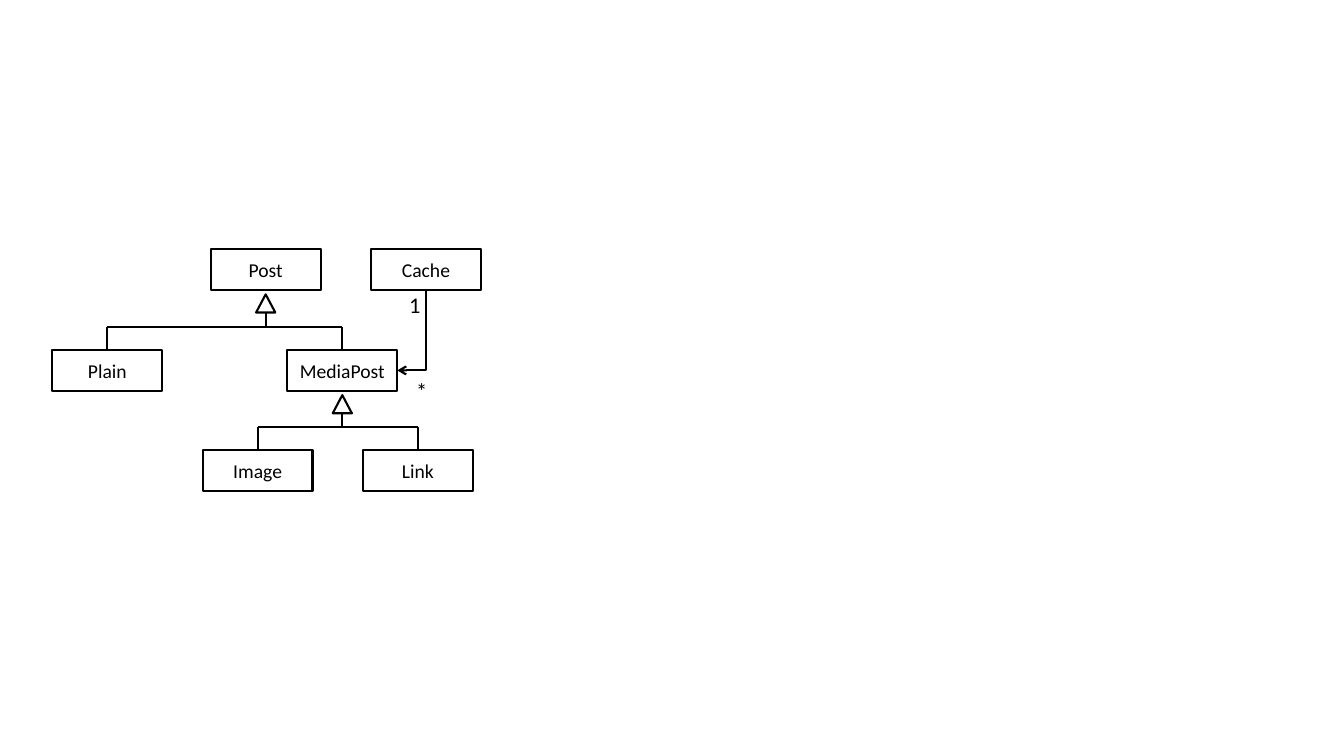
from lxml import etree
from pptx import Presentation
from pptx.dml.color import RGBColor
from pptx.enum.shapes import MSO_CONNECTOR, MSO_SHAPE
from pptx.enum.text import MSO_ANCHOR, PP_ALIGN
from pptx.oxml.ns import qn
from pptx.util import Inches, Pt

STRAIGHT, ELBOW = MSO_CONNECTOR.STRAIGHT, MSO_CONNECTOR.ELBOW
RECTANGLE, TRIANGLE = MSO_SHAPE.RECTANGLE, MSO_SHAPE.ISOSCELES_TRIANGLE
MIDDLE, CENTER = MSO_ANCHOR.MIDDLE, PP_ALIGN.CENTER
TOP_SIDE = 0

COLORS = {"ink": "000000", "paper": "FFFFFF"}
FONT = "Calibri"
CLASS_WIDTH, CLASS_HEIGHT = 1.09, 0.41
HEAD_WIDTH, HEAD_HEIGHT = 0.19, 0.18
HEAD_GAP = 0.04      # parent box to triangle
BUS_DROP = 0.36      # parent box to horizontal bar

CLASSES = {  # name: (left, top)
    "Post": (2.09, 2.47),
    "Cache": (3.68, 2.47),
    "Plain": (0.52, 3.47),
    "MediaPost": (2.85, 3.47),
    "Image": (2.01, 4.46),
    "Link": (3.6, 4.46),
}
INHERITANCE = {"Post": ("Plain", "MediaPost"), "MediaPost": ("Image", "Link")}
MULTIPLICITIES = [("1", 3.96, 2.84), ("*", 4.03, 3.69)]


def color(name):
    return RGBColor.from_string(COLORS[name])


def set_outline(item):
    item.line.color.rgb = color("ink")
    item.line.width = Pt(1.5)


def write(shape, text, size):
    para = shape.text_frame.paragraphs[0]
    para.text = text
    para.alignment = CENTER
    para.font.name = FONT
    para.font.size = Pt(size)
    para.font.color.rgb = color("ink")


def add_outlined(slide, kind, left, top, width, height):
    shape = slide.shapes.add_shape(
        kind, Inches(left), Inches(top), Inches(width), Inches(height))
    shape.shadow.inherit = False
    shape.fill.solid()
    shape.fill.fore_color.rgb = color("paper")
    set_outline(shape)
    return shape


def add_line(slide, start, end, kind=STRAIGHT):
    line = slide.shapes.add_connector(
        kind, *(Inches(value) for value in (*start, *end)))
    set_outline(line)
    etree.SubElement(line._element.spPr, qn("a:effectLst"))
    return line


def center_x(name):
    return CLASSES[name][0] + CLASS_WIDTH / 2


def add_inheritance(slide, boxes, parent, children):
    middle = center_x(parent)
    bottom = CLASSES[parent][1] + CLASS_HEIGHT
    bus = bottom + BUS_DROP
    add_line(slide, (middle, bus), (middle, bottom + HEAD_GAP + HEAD_HEIGHT))
    add_outlined(slide, TRIANGLE, middle - HEAD_WIDTH / 2, bottom + HEAD_GAP,
                 HEAD_WIDTH, HEAD_HEIGHT)
    add_line(slide, (center_x(children[0]), bus), (center_x(children[-1]), bus))
    for child in children:
        x = center_x(child)
        stub = add_line(slide, (x, CLASSES[child][1]), (x, bus))
        stub.begin_connect(boxes[child], TOP_SIDE)


def add_association(slide, source, target):
    """Arrow down from the source, then left into the target's right side."""
    start_x, start_y = center_x(source), CLASSES[source][1] + CLASS_HEIGHT
    end_x = CLASSES[target][0] + CLASS_WIDTH
    end_y = CLASSES[target][1] + CLASS_HEIGHT / 2
    # A quarter turn swaps width and height about the common centre.
    middle_x, middle_y = (start_x + end_x) / 2, (start_y + end_y) / 2
    half_width, half_height = (end_y - start_y) / 2, (start_x - end_x) / 2
    arrow = add_line(slide, (middle_x - half_width, middle_y - half_height),
                     (middle_x + half_width, middle_y + half_height), ELBOW)
    properties = arrow._element.spPr
    properties.find(qn("a:prstGeom")).set("prst", "bentConnector2")
    properties.find(qn("a:xfrm")).set("rot", str(90 * 60000))
    etree.SubElement(properties.find(qn("a:ln")), qn("a:tailEnd"), type="arrow")


def main():
    deck = Presentation()
    deck.slide_width, deck.slide_height = Inches(13.33), Inches(7.5)
    slide = deck.slides.add_slide(deck.slide_layouts[6])

    boxes = {}
    for name, (left, top) in CLASSES.items():
        box = add_outlined(slide, RECTANGLE, left, top, CLASS_WIDTH, CLASS_HEIGHT)
        box.text_frame.vertical_anchor = MIDDLE
        write(box, name, 14)
        boxes[name] = box

    for parent, children in INHERITANCE.items():
        add_inheritance(slide, boxes, parent, children)
    add_association(slide, "Cache", "MediaPost")

    for text, left, top in MULTIPLICITIES:
        label = slide.shapes.add_textbox(
            Inches(left), Inches(top), Inches(0.26), Inches(0.37))
        label.text_frame.word_wrap = False
        write(label, text, 16)

    deck.save("out.pptx")


if __name__ == "__main__":
    main()
